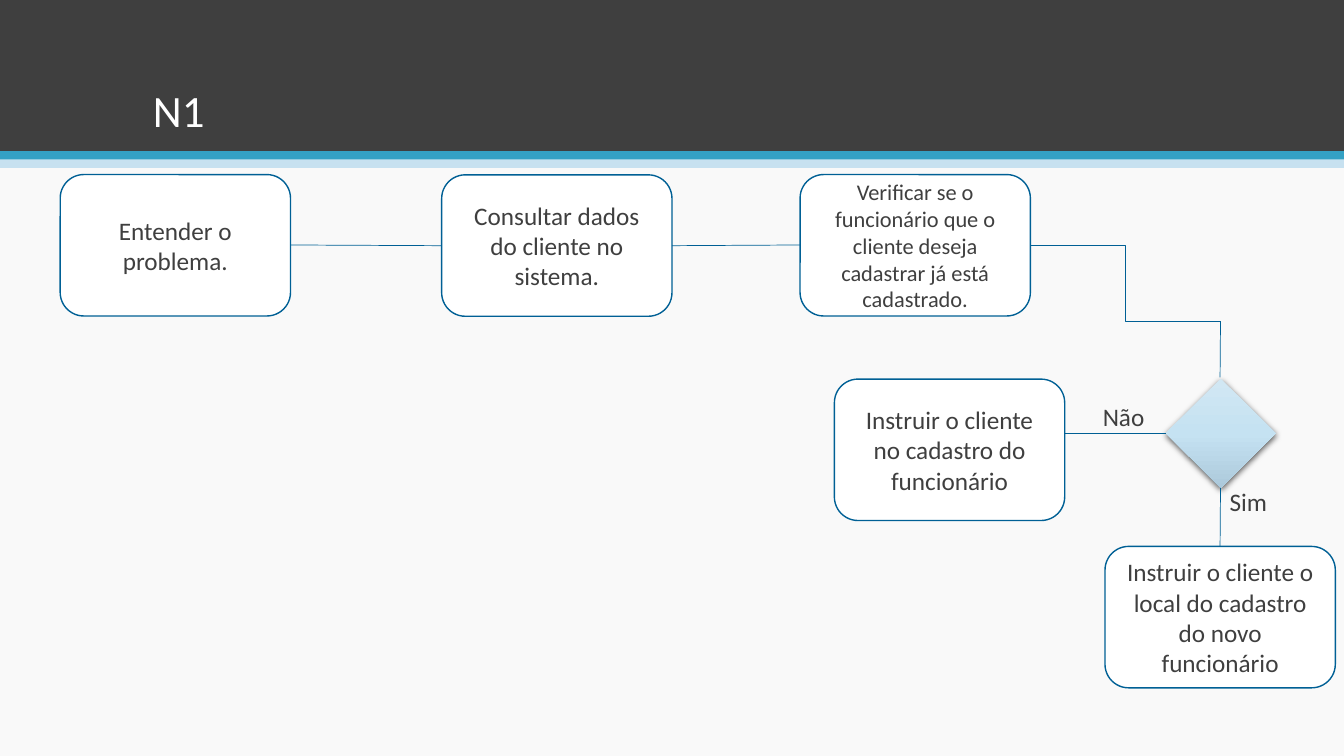
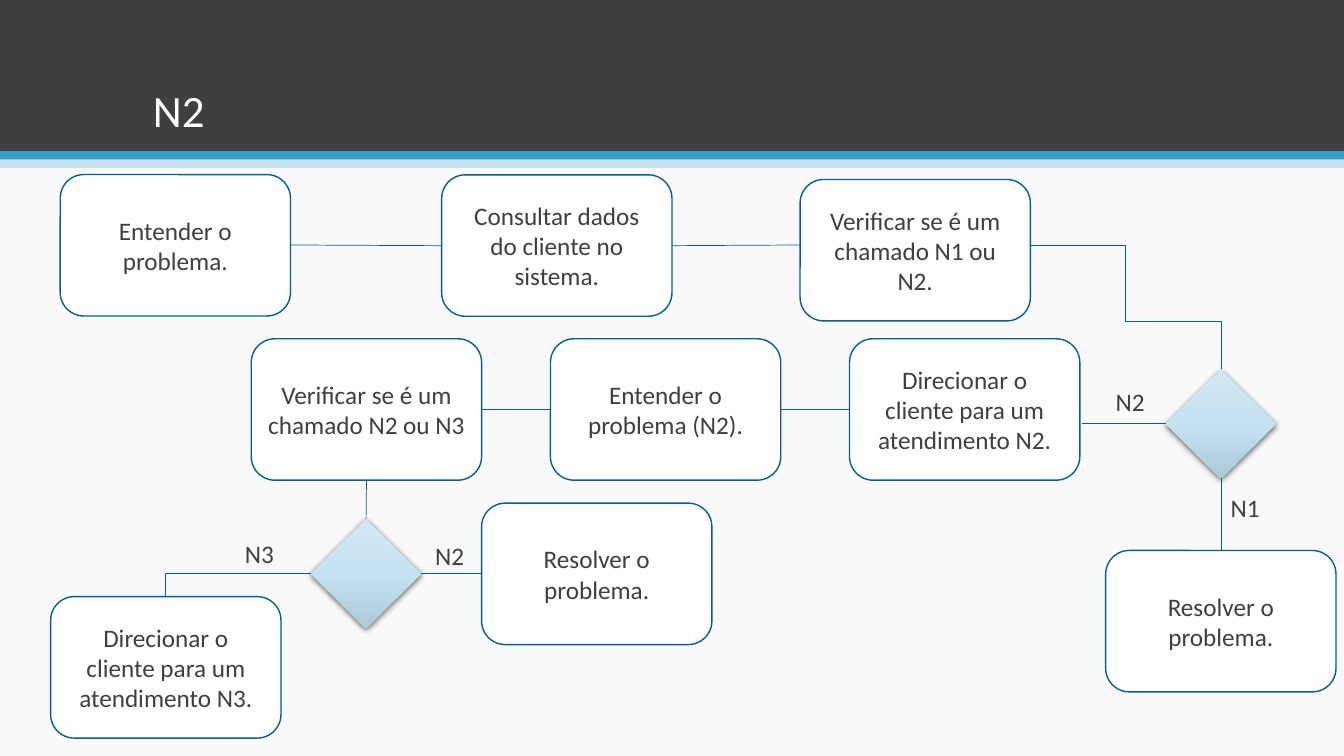
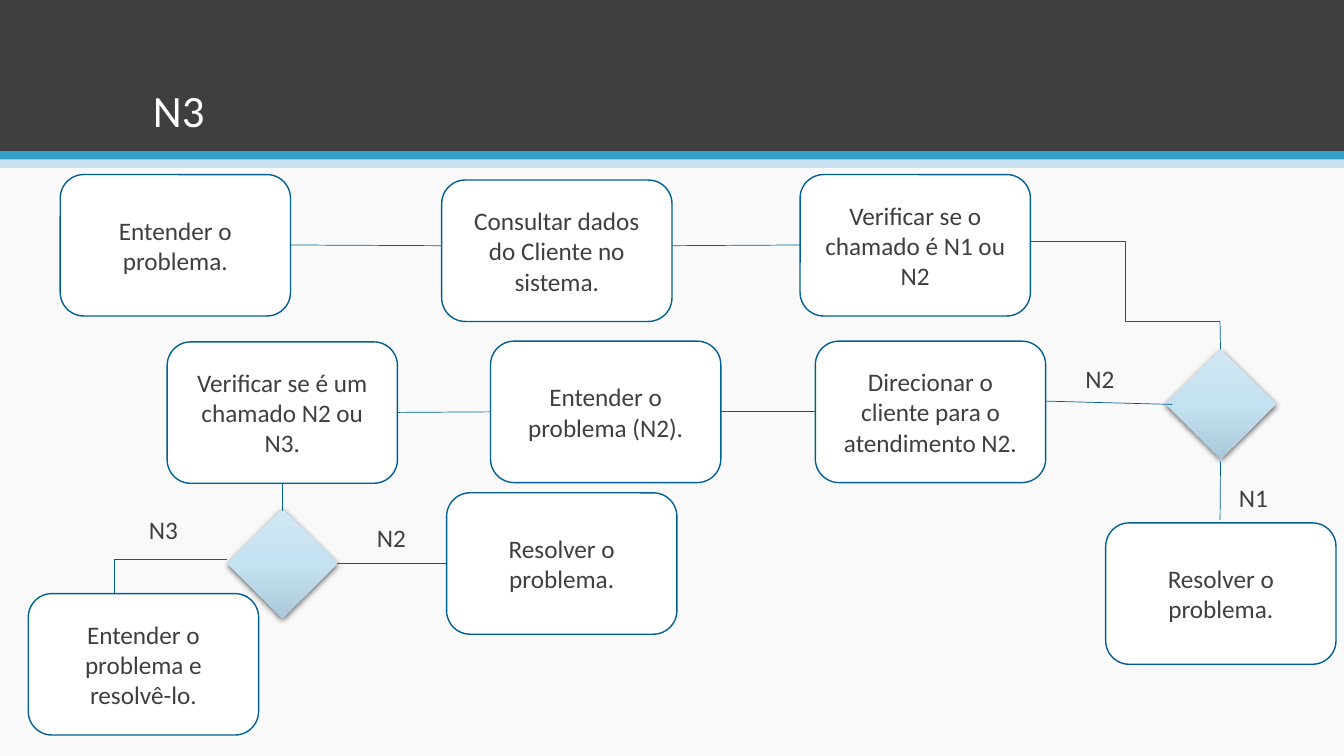
from pptx import Presentation
from pptx.dml.color import RGBColor
from pptx.enum.shapes import MSO_CONNECTOR as CONNECTOR, MSO_SHAPE as SHAPE
from pptx.enum.text import MSO_ANCHOR as ANCHOR, MSO_AUTO_SIZE as AUTO_SIZE, PP_ALIGN as ALIGN
from pptx.oxml import parse_xml
from pptx.oxml.ns import nsdecls
from pptx.util import Pt

FONT = "Calibri"
PAPER = RGBColor(0xF9, 0xF9, 0xF9)
WHITE = RGBColor(0xFF, 0xFF, 0xFF)
BLACK = RGBColor(0x00, 0x00, 0x00)
CHARCOAL = RGBColor(0x3F, 0x3F, 0x3F)
TEAL = RGBColor(0x34, 0xA1, 0xC4)
PALE_BLUE = RGBColor(0xC7, 0xE1, 0xF0)
OUTLINE = RGBColor(0x00, 0x60, 0x95)
DECISION_STOPS = (
    (0, RGBColor(0xD1, 0xE7, 0xF3)),
    (50, RGBColor(0xC5, 0xE2, 0xF2)),
    (100, RGBColor(0xAC, 0xC9, 0xDB)),
)

SLIDE_W, SLIDE_H = 960, 540
STEP_W, STEP_H = 164.5, 101
DECISION_W, DECISION_H = 78.5, 78
BANDS = ((0, 108, CHARCOAL), (108, 6, TEAL), (114, 6, PALE_BLUE))

FIRST_STEP = ("Entender o problema.", 43, 124.7)
FIRST_LINKS = [(207.5, 175, 315.5, 175.5), (480, 175.5, 571.5, 175)]

FLOWS = {
    "N1": {
        "steps": [
            FIRST_STEP,
            ("Consultar dados do cliente no sistema.", 315.5, 124.9),
            ("Verificar se o funcionário que o cliente deseja cadastrar já está cadastrado.",
             571.5, 124.7, 16),
            ("Instruir o cliente no cadastro do funcionário", 596, 270.8),
            ("Instruir o cliente o local do cadastro do novo funcionário", 789.3, 390.3),
        ],
        "decisions": [(832.8, 270.5)],
        "elbow": (736, 175, 871.8, 229.5),
        "links": FIRST_LINKS + [
            (832.8, 309.5, 760.5, 309.5),
            (871.5, 269.5, 871.8, 229.5),
            (871.8, 348.5, 871.5, 390.3),
        ],
        "labels": [("Não", 780.6, 283.2, 44.6), ("Sim", 871.2, 343.6, 41.8)],
    },
    "N2": {
        "steps": [
            FIRST_STEP,
            ("Consultar dados do cliente no sistema.", 315.5, 124.9),
            ("Verificar se é um chamado N1 ou N2.", 571.5, 128.2),
            ("Resolver o problema.", 789.8, 393.2),
            ("Direcionar o cliente para um atendimento N2.", 606.8, 242),
            ("Entender o problema (N2).", 393.2, 242),
            ("Verificar se é um chamado N2 ou N3", 179.5, 242),
            ("Resolver o problema.", 344, 359.4),
            ("Direcionar o cliente para um atendimento N3.", 36.2, 426.2),
        ],
        "decisions": [(832.8, 263.8), (222.2, 370.8)],
        "elbow": (736, 175, 872.2, 229.5),
        "links": FIRST_LINKS + [
            (832.8, 302.4, 772.8, 302.4),
            (872.2, 229, 872.2, 263.8),
            (872.2, 341.5, 872.2, 393.2),
            (557.7, 292.3, 606.8, 292.3),
            (344, 292.3, 393.2, 292.3),
            (261.8, 343.2, 261.5, 370.8),
            (300.8, 409.6, 344, 409.6),
            (222.2, 409.6, 118.2, 409.6),
            (118.2, 409.6, 118.2, 426.2),
        ],
        "labels": [("N1", 872, 347.8), ("N2", 789.8, 272.2),
                   ("N2", 303.8, 382.3), ("N3", 167.8, 381.2)],
    },
    "N3": {
        "steps": [
            FIRST_STEP,
            ("Consultar dados do Cliente no sistema.", 315.5, 128.6),
            ("Verificar se o chamado é N1 ou N2", 571.5, 124.7),
            ("Direcionar o cliente para o atendimento N2.", 582.4, 243.7),
            ("Resolver o problema.", 789.8, 373.5),
            ("Entender o problema (N2).", 350.4, 243.7),
            ("Resolver o problema.", 319, 352),
            ("Verificar se é um chamado N2 ou N3.", 119.4, 244.2),
            ("Entender o problema e resolvê-lo.", 20.2, 424),
        ],
        "decisions": [(832.8, 249.6), (162.5, 363.4)],
        "elbow": (736, 172.2, 871.5, 229.8),
        "links": FIRST_LINKS + [
            (837.2, 288.9, 746.8, 286.5),
            (871.8, 249.6, 871.5, 229.8),
            (871.8, 329.6, 871.5, 371.4),
            (514.8, 294.2, 582.4, 294.2),
            (283.8, 294.6, 350.4, 294.2),
            (201.8, 345, 201.8, 365),
            (162.2, 399.5, 82, 399.5),
            (82, 399.5, 82, 424),
            (319, 402.4, 241, 402.4),
        ],
        "labels": [("N2", 768.2, 255.8), ("N1", 877.8, 340.6),
                   ("N2", 262.1, 369.4), ("N3", 99.2, 363.8)],
    },
}


def write(frame, text, size, color, align=ALIGN.LEFT):
    """Write one formatted run and return its paragraph."""
    paragraph = frame.paragraphs[0]
    paragraph.alignment = align
    run = paragraph.add_run()
    run.text = text
    run.font.name, run.font.size = FONT, Pt(size)
    run.font.color.rgb = color
    return paragraph


def add_filled(slide, kind, x, y, width, height, fill):
    """Add a flat shape without outline or shadow."""
    shape = slide.shapes.add_shape(kind, Pt(x), Pt(y), Pt(width), Pt(height))
    shape.shadow.inherit = False
    shape.fill.solid()
    shape.fill.fore_color.rgb = fill
    shape.line.fill.background()
    return shape


def add_step(slide, text, x, y, size=18):
    """Add one rounded box of the process."""
    step = add_filled(slide, SHAPE.ROUNDED_RECTANGLE, x, y, STEP_W, STEP_H, WHITE)
    step.line.color.rgb = OUTLINE
    step.line.width = Pt(1)
    step.text_frame.word_wrap = True
    step.text_frame.vertical_anchor = ANCHOR.MIDDLE
    write(step.text_frame, text, size, CHARCOAL, ALIGN.CENTER)


def add_decision(slide, x, y):
    """Add a decision diamond with its gradient and soft shadow."""
    decision = slide.shapes.add_shape(
        SHAPE.DIAMOND, Pt(x), Pt(y), Pt(DECISION_W), Pt(DECISION_H))
    decision.line.fill.background()
    stops = "".join(
        f'<a:gs pos="{percent * 1000}"><a:srgbClr val="{color}"/></a:gs>'
        for percent, color in DECISION_STOPS)
    outline = decision.element.spPr.ln
    outline.addprevious(parse_xml(
        f'<a:gradFill {nsdecls("a")} rotWithShape="1"><a:gsLst>{stops}</a:gsLst>'
        '<a:lin ang="5400000" scaled="0"/></a:gradFill>'))
    outline.addnext(parse_xml(
        f'<a:effectLst {nsdecls("a")}><a:outerShdw blurRad="{Pt(4.5)}" dist="{Pt(1.5)}" '
        f'dir="5400000" algn="ctr" rotWithShape="0"><a:srgbClr val="{BLACK}">'
        '<a:alpha val="63000"/></a:srgbClr></a:outerShdw></a:effectLst>'))


def add_link(slide, ends, kind=CONNECTOR.STRAIGHT):
    """Add a thin connector between two points."""
    link = slide.shapes.add_connector(kind, *(Pt(value) for value in ends))
    link.line.color.rgb = OUTLINE
    link.line.width = Pt(0.5)
    link.element.spPr.append(parse_xml(f'<a:effectLst {nsdecls("a")}/>'))


def add_label(slide, text, x, y, width=35.3):
    """Add the answer that belongs to one branch."""
    label = slide.shapes.add_textbox(Pt(x), Pt(y), Pt(width), Pt(29))
    label.text_frame.word_wrap = False
    label.text_frame.auto_size = AUTO_SIZE.SHAPE_TO_FIT_TEXT
    write(label.text_frame, text, 18, CHARCOAL)


def prepare_layout(layout):
    """Place the title and keep only its placeholder."""
    for placeholder in list(layout.placeholders)[1:]:
        placeholder.element.getparent().remove(placeholder.element)
    title = layout.placeholders[0]
    title.left, title.top, title.width, title.height = Pt(102), Pt(20), Pt(756), Pt(81.5)
    title.text_frame.vertical_anchor = ANCHOR.BOTTOM


def add_bands(layout, slide):
    """Draw the header bands and move them behind the layout title."""
    for order, (y, height, color) in enumerate(BANDS):
        band = add_filled(slide, SHAPE.RECTANGLE, 0, y, SLIDE_W, height, color)
        layout.shapes.element.insert(2 + order, band.element)


def add_flow(slide, name, flow):
    """Fill one slide with its title and flowchart."""
    title = write(slide.shapes.title.text_frame, name, 32, WHITE)
    title.line_spacing = 0.9
    for step in flow["steps"]:
        add_step(slide, *step)
    for decision in flow["decisions"]:
        add_decision(slide, *decision)
    add_link(slide, flow["elbow"], CONNECTOR.ELBOW)
    for link in flow["links"]:
        add_link(slide, link)
    for label in flow["labels"]:
        add_label(slide, *label)


def main():
    """Build the three support-level flowcharts."""
    deck = Presentation()
    deck.slide_width, deck.slide_height = Pt(SLIDE_W), Pt(SLIDE_H)
    background = deck.slide_master.background.fill
    background.solid()
    background.fore_color.rgb = PAPER
    layout = deck.slide_layouts[5]
    prepare_layout(layout)
    slides = [deck.slides.add_slide(layout) for _ in FLOWS]
    add_bands(layout, slides[0])
    for slide, (name, flow) in zip(slides, FLOWS.items()):
        add_flow(slide, name, flow)
    deck.save("out.pptx")


main()
